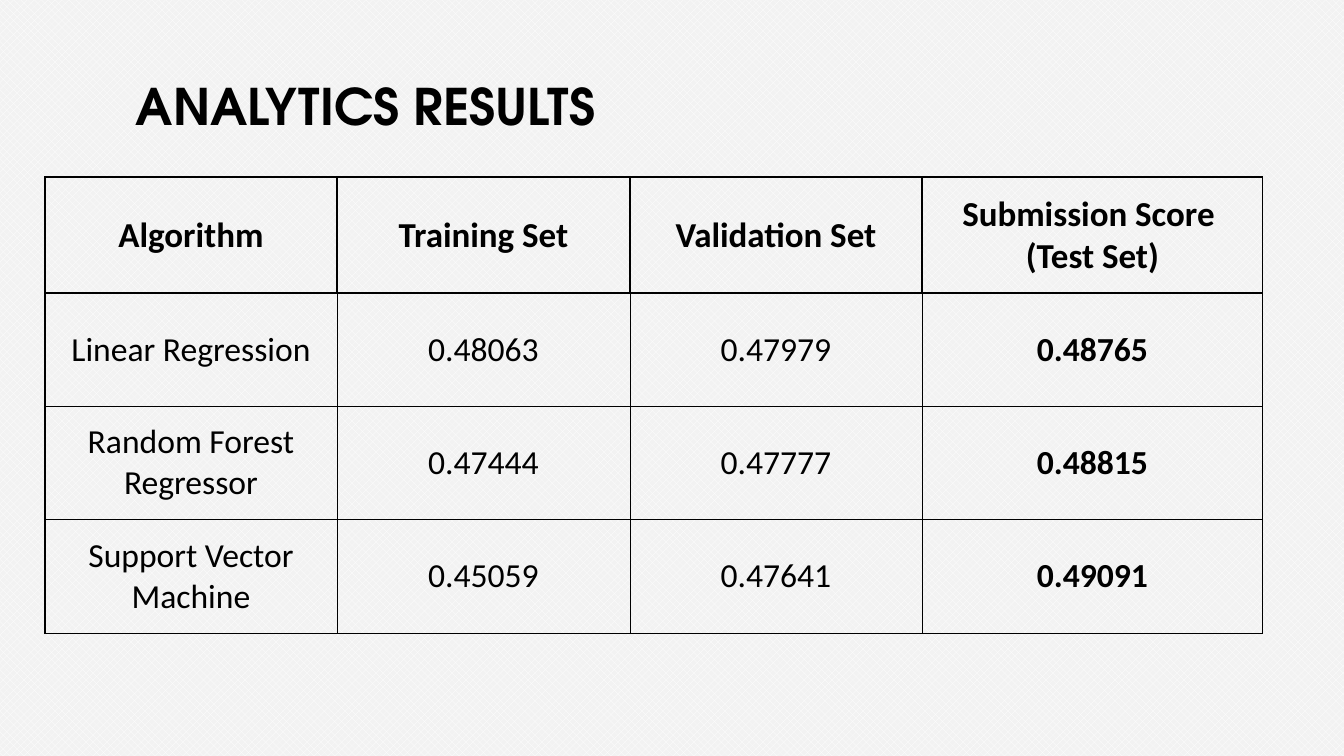
from lxml import etree
from pptx import Presentation
from pptx import util as u
from pptx.dml.color import RGBColor
from pptx.enum import dml, text
from pptx.oxml.ns import qn

SCALE = 914400 / 100.8
COLORS = {"ink": "000000", "dots": "FFFFFF", "paper": "F2F2F2"}
TITLE = {"name": "TeX Gyre Adventor", "size": u.Pt(36), "bold": True}
HEAD = {"name": "Calibri", "size": u.Pt(25), "bold": True}
BODY = {"name": "Calibri", "size": u.Pt(24), "bold": False}
SCORE = BODY | {"bold": True}
INSETS = {"margin_left": 1, "margin_top": 1, "margin_right": 1, "margin_bottom": 0}

COLS = [292, 293, 292, 341]
ROWS = [116, 113, 113, 114]
RESULTS = [
    ["Algorithm", "Training Set", "Validation Set", "Submission Score \n(Test Set)"],
    ["Linear Regression", "0.48063", "0.47979", "0.48765"],
    ["Random Forest Regressor", "0.47444", "0.47777", "0.48815"],
    ["Support Vector Machine", "0.45059", "0.47641", "0.49091"],
]


def px(n):
    return u.Emu(round(n * SCALE))


def rgb(key):
    return RGBColor.from_string(COLORS[key])


def write(frame, words, style, align):
    frame.text = words
    for para in frame.paragraphs:
        para.alignment = align
        for run in para.runs:
            for key, value in style.items():
                setattr(run.font, key, value)
            run.font.color.rgb = rgb("ink")


def paint(slide):
    fill = slide.background.fill
    fill.patterned()
    fill.pattern = dml.MSO_PATTERN.PERCENT_50
    fill.fore_color.rgb = rgb("dots")
    fill.back_color.rgb = rgb("paper")


def add_title(slide, words, *box):
    frame = slide.shapes.add_textbox(*map(px, box)).text_frame
    frame.word_wrap = True
    frame.vertical_anchor = text.MSO_ANCHOR.MIDDLE
    write(frame, words, TITLE, text.PP_ALIGN.LEFT)


def add_edge(cell, side, points):
    props = cell._tc.get_or_add_tcPr()
    line = etree.SubElement(props, qn(f"a:ln{side}"), w=str(u.Pt(points)))
    fill = etree.SubElement(line, qn("a:solidFill"))
    etree.SubElement(fill, qn("a:srgbClr"), val=COLORS["ink"])


def add_edges(cell, row, col):
    """Draw thick lines round the header and down the outer sides."""
    head = row == 0
    thick = {
        "L": head or col == 0,
        "R": head or col == len(COLS) - 1,
        "T": row <= 1,
        "B": head,
    }
    for side, bold in thick.items():
        add_edge(cell, side, 1 if bold else 0.5)


def fill_cell(cell, words, row, col):
    style = HEAD if row == 0 else SCORE if col == len(COLS) - 1 else BODY
    write(cell.text_frame, words, style, text.PP_ALIGN.CENTER)
    cell.vertical_anchor = text.MSO_ANCHOR.MIDDLE
    for key, value in INSETS.items():
        setattr(cell, key, px(value))
    add_edges(cell, row, col)
    cell.fill.background()


def add_results(slide, left, top):
    box = map(px, (left, top, sum(COLS), sum(ROWS)))
    table = slide.shapes.add_table(len(ROWS), len(COLS), *box).table
    table.first_row = table.horz_banding = False
    for col, width in zip(table.columns, COLS):
        col.width = px(width)
    for row, height in zip(table.rows, ROWS):
        row.height = px(height)
    for r, line in enumerate(RESULTS):
        for c, words in enumerate(line):
            fill_cell(table.cell(r, c), words, r, c)


def main():
    deck = Presentation()
    deck.slide_width, deck.slide_height = px(1344), px(756)
    slide = deck.slides.add_slide(deck.slide_layouts[6])
    paint(slide)
    add_title(slide, "ANALYTICS RESULTS", 126, 48, 1092, 115)
    add_results(slide, 45, 177)
    deck.save("out.pptx")


if __name__ == "__main__":
    main()
